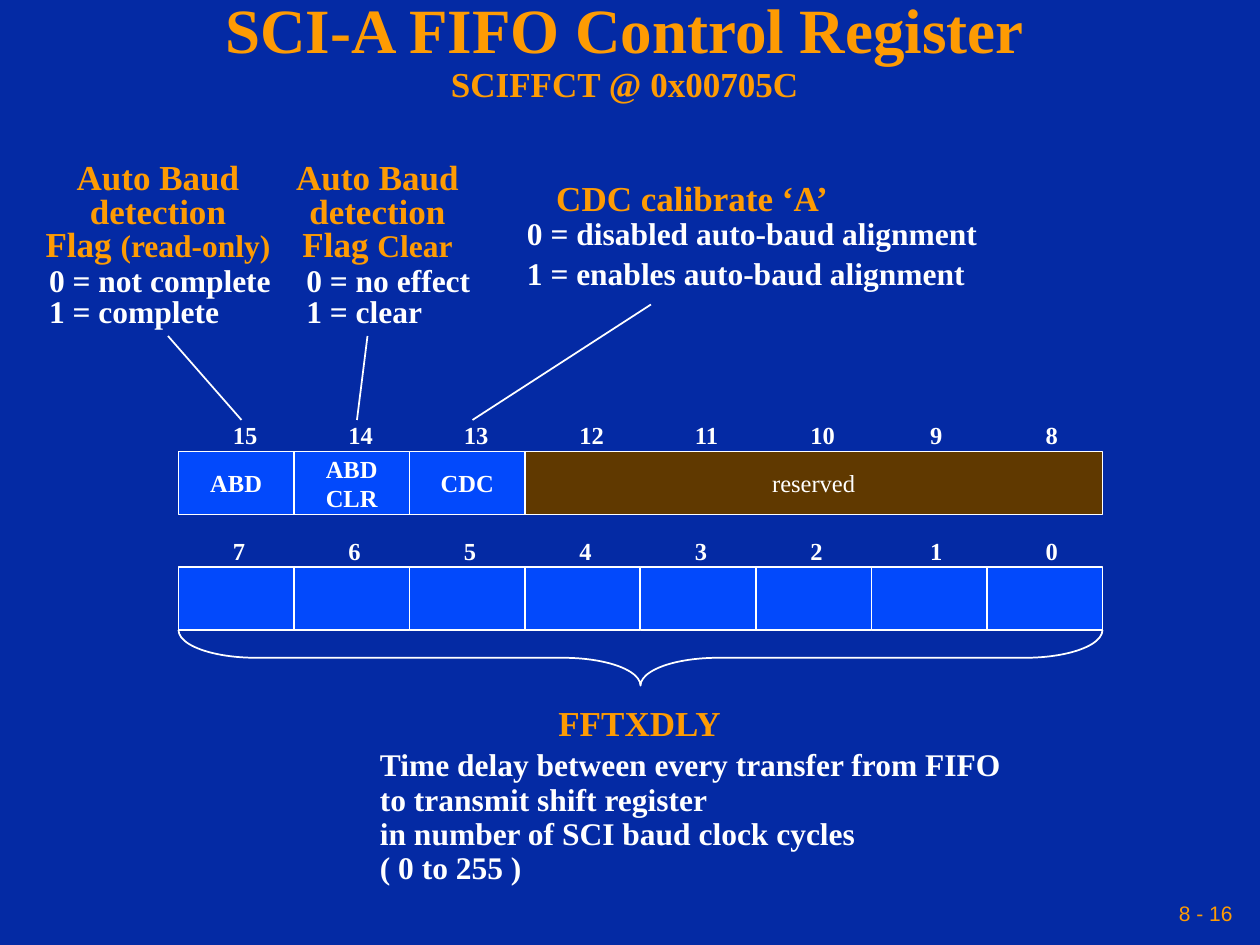
from dataclasses import dataclass

from lxml import etree
from pptx import Presentation
from pptx.dml.color import RGBColor
from pptx.enum.shapes import MSO_CONNECTOR, MSO_SHAPE
from pptx.enum.text import MSO_ANCHOR, MSO_AUTO_SIZE, PP_ALIGN
from pptx.oxml.ns import qn
from pptx.util import Inches, Length, Pt

NAVY = RGBColor(0x04, 0x2A, 0xA4)
BLUE = RGBColor(0x02, 0x49, 0xFC)
BROWN = RGBColor(0x60, 0x39, 0x00)
ORANGE = RGBColor(0xFE, 0x9B, 0x03)
WHITE = RGBColor(0xFF, 0xFF, 0xFF)
SERIF, SANS = "Times New Roman", "Arial"
LEFT, CENTER, RIGHT = PP_ALIGN.LEFT, PP_ALIGN.CENTER, PP_ALIGN.RIGHT
MIDDLE, NO_FIT = MSO_ANCHOR.MIDDLE, MSO_AUTO_SIZE.NONE
RECT, BRACE = MSO_SHAPE.RECTANGLE, MSO_SHAPE.RIGHT_BRACE
STRAIGHT = MSO_CONNECTOR.STRAIGHT

# Grid of 120 x 90 units, twelve to the inch
GRID_X, BIT_W, BIT_H = 17, 11, 6
HIGH_Y, LOW_Y = 43, 54


@dataclass
class Label:
    x: float
    y: float
    w: float
    h: float
    lines: list[str]
    size: int = 18
    color: RGBColor = WHITE
    align: PP_ALIGN = LEFT
    spacing: float = 0.8
    before: float = 0
    tail: str = ""  # smaller words closing the last line
    bold: bool = True
    font: str = SERIF


@dataclass
class Field:
    column: int
    row_y: float
    text: str = ""
    bits: int = 1
    fill: RGBColor = BLUE
    bold: bool = True


def u(n: float) -> Length:
    return Inches(n / 12)


def style(r, size: float, color: RGBColor, bold: bool = True, name: str = SERIF) -> None:
    r.font.size, r.font.bold, r.font.name = Pt(size), bold, name
    r.font.color.rgb = color


def add_label(slide, label: Label):
    s = slide.shapes.add_textbox(u(label.x), u(label.y), u(label.w), u(label.h))
    tf = s.text_frame
    tf.word_wrap = False
    tf.text = "\n".join(label.lines)
    for i, p in enumerate(tf.paragraphs):
        p.alignment, p.line_spacing = label.align, label.spacing
        p.space_before = Pt(label.before if i else 0)
        style(p.runs[0], label.size, label.color, label.bold, label.font)
    if label.tail:
        r = tf.paragraphs[-1].add_run()
        r.text = label.tail
        style(r, label.size - 2, label.color)
    return s


def add_field(slide, field: Field) -> None:
    s = slide.shapes.add_shape(RECT, u(GRID_X + field.column * BIT_W), u(field.row_y),
                               u(field.bits * BIT_W), u(BIT_H))
    s.shadow.inherit = False
    s.fill.solid()
    s.fill.fore_color.rgb = field.fill
    s.line.color.rgb, s.line.width = WHITE, Pt(1)
    if field.text:
        tf = s.text_frame
        tf.word_wrap, tf.vertical_anchor = False, MIDDLE
        tf.text = field.text
        for p in tf.paragraphs:
            p.alignment = CENTER
            style(p.runs[0], 14, WHITE, field.bold)


def add_line(slide, x1: float, y1: float, x2: float, y2: float) -> None:
    s = slide.shapes.add_connector(STRAIGHT, u(x1), u(y1), u(x2), u(y2))
    s.line.color.rgb, s.line.width = WHITE, Pt(1)
    etree.SubElement(s._element.spPr, qn("a:effectLst"))


def add_title(slide) -> None:
    s = slide.shapes.title
    s.left, s.top, s.width, s.height = u(0), u(0), u(119), u(10)
    tf = s.text_frame
    tf.margin_left = tf.margin_right = tf.margin_top = tf.margin_bottom = Inches(0.05)
    tf.auto_size, tf.vertical_anchor, tf.word_wrap = NO_FIT, MIDDLE, True
    tf.text = "SCI-A FIFO Control Register\vSCIFFCT @ 0x00705C"
    p = tf.paragraphs[0]
    p.alignment, p.line_spacing, p.space_before = CENTER, 0.9, Pt(0)
    for r, size in zip(p.runs, (36, 20)):
        style(r, size, ORANGE)
    # The line break takes the size of the first line
    etree.SubElement(p._p.find(qn("a:br")), qn("a:rPr"), sz="3600")


def add_brace(slide) -> None:
    length, depth = 8 * BIT_W, 5.3
    mid_x, mid_y = GRID_X + length / 2, LOW_Y + BIT_H + depth / 2
    s = slide.shapes.add_shape(BRACE, u(mid_x - depth / 2), u(mid_y - length / 2),
                               u(depth), u(length))
    s.rotation = 90
    s.adjustments[0], s.adjustments[1] = 1.39, 0.5
    s.shadow.inherit = False
    s.fill.background()
    s.line.color.rgb, s.line.width = WHITE, Pt(1)


LABELS = [
    Label(3.1, 15, 23.9, 10.8, ["Auto Baud", "detection", "Flag "], 20, ORANGE, CENTER,
          tail="(read-only)"),
    Label(3.5, 25, 24, 7, ["0 = not complete", "1 = complete"]),
    Label(27, 15, 17.9, 10.8, ["Auto Baud", "detection", "Flag "], 20, ORANGE, CENTER,
          tail="Clear"),
    Label(28, 25, 18.5, 7, ["0 = no effect", "1 = clear"]),
    Label(51.8, 17, 29, 4.4, ["CDC calibrate ‘A’"], 20, ORANGE),
    Label(49, 20.5, 46.5, 7.9, ["0 = disabled auto-baud alignment",
                                "1 = enables auto-baud alignment"], before=5.6),
    Label(52, 67, 18.5, 4.4, ["FFTXDLY"], 20, ORANGE),
    Label(35, 71.1, 62.5, 13.9, ["Time delay between every transfer from FIFO",
                                 "to transmit shift register",
                                 "in number of SCI baud clock cycles",
                                 "( 0 to 255 )"], before=2.2),
]
FIELDS = [
    Field(0, HIGH_Y, "ABD"),
    Field(1, HIGH_Y, "ABD\nCLR"),
    Field(2, HIGH_Y, "CDC"),
    Field(3, HIGH_Y, "reserved", 5, BROWN, False),
    *(Field(column, LOW_Y) for column in range(8)),
]
POINTERS = [(23, 40, 16, 32), (34, 40, 35, 32), (45, 40, 62, 29)]


def main() -> None:
    prs = Presentation()
    prs.slide_width, prs.slide_height = u(120), u(90)
    slide = prs.slides.add_slide(prs.slide_layouts[5])
    slide.background.fill.solid()
    slide.background.fill.fore_color.rgb = NAVY
    add_title(slide)

    # Register fields and bit numbers, the last two columns set slightly right
    for field in FIELDS:
        add_field(slide, field)
    for bit in range(15, -1, -1):
        column = 7 - bit % 8
        x = GRID_X + 4 + column * BIT_W + (0.4 if column > 5 else 0)
        y = 39.4 if bit > 7 else 50.5
        add_label(slide, Label(x, y, 4.7 if bit > 9 else 3.6, 4.1, [str(bit)], 14, spacing=1))

    # Explanations with their pointers and brace
    for label in LABELS:
        add_label(slide, label)
    for pointer in POINTERS:
        add_line(slide, *pointer)
    add_brace(slide)

    # Page number
    s = add_label(slide, Label(82, 85, 36, 4, ["8 - 16"], 12, ORANGE, RIGHT, 1,
                               bold=False, font=SANS))
    s.text_frame.margin_left = s.text_frame.margin_right = Inches(0.05)
    s.text_frame.vertical_anchor = MIDDLE
    prs.save("out.pptx")


if __name__ == "__main__":
    main()
